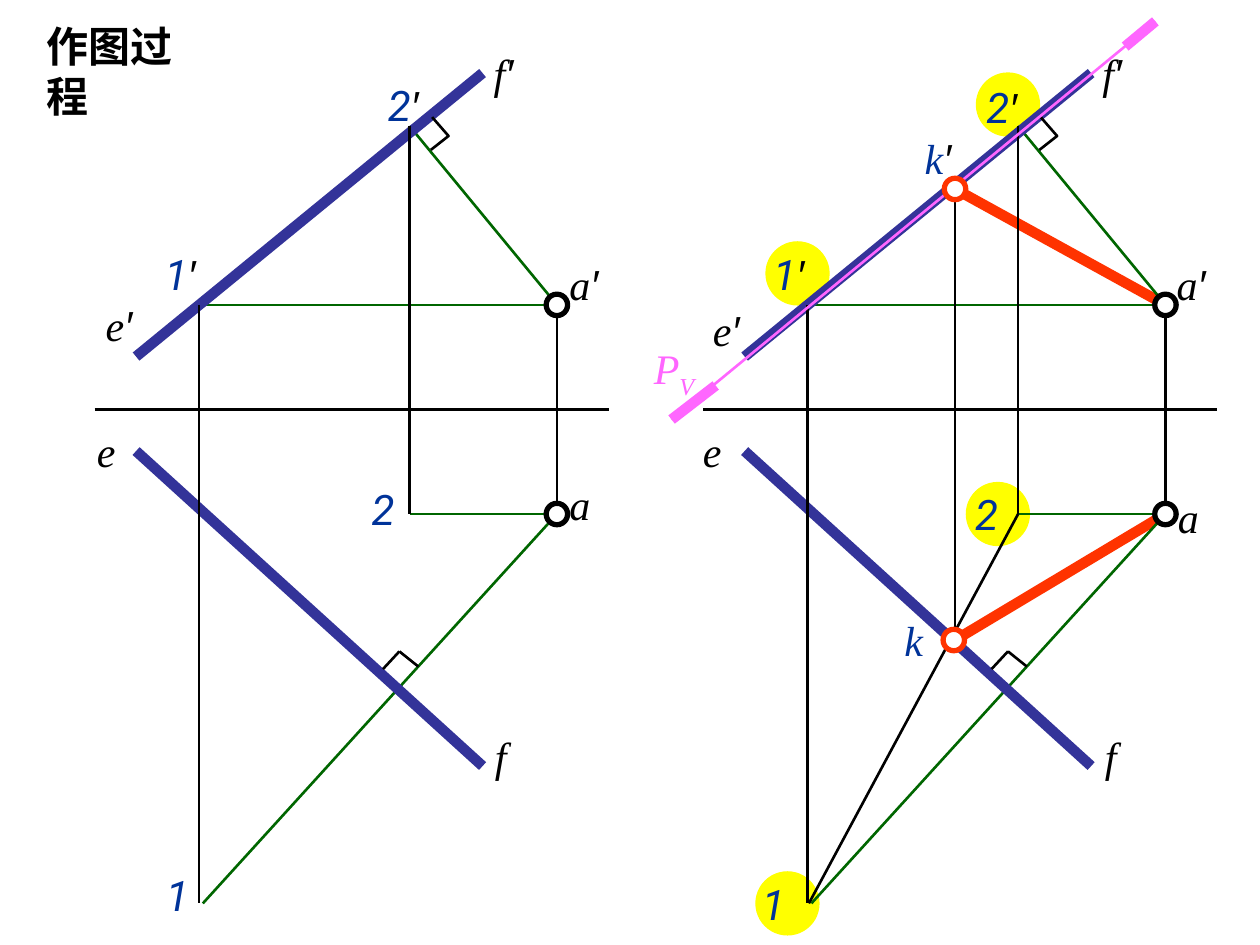
"""Build a slide of two orthographic projections showing a perpendicular construction."""
import pptx
import pptx.dml.color
import pptx.enum.shapes
import pptx.enum.text
import pptx.util
from lxml import etree

Inches, Pt = pptx.util.Inches, pptx.util.Pt
COLORS = {"black": "000000", "white": "FFFFFF", "yellow": "FFFF00", "red": "FF3300",
          "green": "006600", "indigo": "333399", "blue": "003399", "pink": "FF66FF"}
TITLE = "作图过程"
SHIFT = 4.83
HIGHLIGHTS = [(8, 0.83), (7.92, 4.08), (6.25, 7.17), (6.33, 2.17)]
RED_LINES = [((7.58, 5.08), (9.25, 4.08)), ((7.58, 1.5), (9.25, 2.42))]
FIGURE_LINES = [
    ((4.42, 2.42), (1.58, 2.42), "green", 1.5),
    ((4.42, 4.08), (3.25, 4.08), "green", 1.5),
    ((3.25, 1), (4.42, 2.42), "green", 1.5),
    ((1.61, 7.17), (4.42, 4.08), "green", 1.5),
    ((0.75, 3.25), (4.83, 3.25), "black", 1.5),
    ((4.42, 2.42), (4.42, 4.08), "black", 1.5),
    ((3.83, 0.58), (1.08, 2.83), "indigo", 6),
    ((1.08, 3.58), (3.83, 6.08), "indigo", 6),
    ((1.58, 2.42), (1.58, 7.17), "black", 1.5),
    ((3.25, 1), (3.25, 4.08), "black", 1.5),
]
FIGURE_RINGS = [(4.42, 4.08), (4.42, 2.42)]
CORNERS = [[(3.43, 0.93), (3.56, 1.08), (3.42, 1.19)],
           [(3.04, 5.31), (3.17, 5.17)], [(3.17, 5.17), (3.32, 5.29)]]
LABELS = [  # text, width, left figure, right figure
    ("2′", 0.49, (2.98, 0.58), (7.73, 0.6)),
    ("1", 0.38, (1.22, 6.85), (5.95, 6.92)),
    ("a′", 0.48, (4.42, 2), (9.24, 2)),
    ("e", 0.35, (0.67, 3.33), (5.48, 3.33)),
    ("f", 0.29, (3.83, 5.75), (8.67, 5.75)),
    ("a", 0.36, (4.42, 3.75), (9.25, 3.85)),
    ("f′", 0.4, (3.82, 0.33), (8.65, 0.33)),
    ("e′", 0.46, (0.74, 2.33), (5.56, 2.37)),
    ("1′", 0.49, (1.21, 1.92), (6.04, 1.92)),
    ("2", 0.38, (2.85, 3.79), (7.64, 3.83)),
]
TRACE = ((5.33, 3.33), (9.17, 0.17))
TRACE_ENDS = [[(5.33, 3.33), (5.68, 3.06)], [(9.17, 0.17), (8.93, 0.37)]]
K_LINES = [((7.58, 5.08), (7.58, 1.5)), ((6.42, 7.17), (8.08, 4.08))]
K_LABELS = [("k′", 0.46, (7.24, 1)), ("k", 0.35, (7.08, 4.83))]
K_RINGS = [(7.58, 1.5), (7.57, 5.08)]


def rgb(color):
    return pptx.dml.color.RGBColor.from_string(COLORS[color])


def stroke(s, color, width):
    s.line.color.rgb = rgb(color)
    s.line.width = Pt(width)


def add_line(shapes, start, end, color, width):
    s = shapes.add_connector(pptx.enum.shapes.MSO_CONNECTOR.STRAIGHT,
                             *[Inches(v) for v in (*start, *end)])
    stroke(s, color, width)
    etree.SubElement(s._element.spPr, pptx.oxml.ns.qn("a:effectLst"))


def add_circle(shapes, center, size, fill, color, width):
    x, y = center
    s = shapes.add_shape(pptx.enum.shapes.MSO_SHAPE.OVAL, Inches(x - size / 2),
                         Inches(y - size / 2), Inches(size), Inches(size))
    s.shadow.inherit = False
    s.fill.solid()
    s.fill.fore_color.rgb = rgb(fill)
    stroke(s, color, width)


def add_path(shapes, points, color, width):
    points = [(Inches(x), Inches(y)) for x, y in points]
    builder = shapes.build_freeform(*points[0])
    builder.add_line_segments(points[1:], close=False)
    s = builder.convert_to_shape()
    s.shadow.inherit = False
    s.fill.background()
    stroke(s, color, width)


def add_label(shapes, text, width, pos, color, height=0.5):
    s = shapes.add_textbox(*[Inches(v) for v in (*pos, width, height)])
    tf = s.text_frame
    tf.word_wrap = False
    tf.auto_size = pptx.enum.text.MSO_AUTO_SIZE.SHAPE_TO_FIT_TEXT
    runs = []
    for char in text:
        r = tf.paragraphs[0].add_run()
        r.text = char
        r.font.size = Pt(24)
        r.font.italic = True
        r.font.name = ("Arial" if char == "′" else
                       "Roboto" if char.isdigit() else "Times New Roman")
        r.font.color.rgb = rgb("black" if char == "′" else color)
        runs.append(r)
    return runs


def add_figure(shapes, dx, side):
    def move(point):
        return point[0] + dx, point[1]

    for start, end, color, width in FIGURE_LINES:
        add_line(shapes, move(start), move(end), color, width)
    for center in FIGURE_RINGS:
        add_circle(shapes, move(center), 0.17, "white", "black", 3)
    for text, width, *places in LABELS:
        color = "blue" if text[0].isdigit() else "black"
        add_label(shapes, text, width, places[side], color)
    for points in CORNERS:
        add_path(shapes, [move(p) for p in points], "black", 1.5)


def add_title(s):
    s.left, s.top, s.width, s.height = [Inches(v) for v in (0.27, 0.11, 1.53, 0.5)]
    tf = s.text_frame
    tf.text = TITLE
    tf.word_wrap = False
    tf.auto_size = pptx.enum.text.MSO_AUTO_SIZE.SHAPE_TO_FIT_TEXT
    tf.vertical_anchor = pptx.enum.text.MSO_ANCHOR.TOP
    p = tf.paragraphs[0]
    p.alignment = pptx.enum.text.PP_ALIGN.LEFT
    font = p.runs[0].font
    font.name, font.size, font.bold = "Arial", Pt(24), True
    font.color.rgb = rgb("black")


def main():
    prs = pptx.Presentation()
    prs.slide_width, prs.slide_height = Inches(10), Inches(7.5)
    shapes = prs.slides.add_slide(prs.slide_layouts[5]).shapes
    add_title(shapes.title)
    for center in HIGHLIGHTS:
        add_circle(shapes, center, 0.5, "yellow", "yellow", 0.75)
    for start, end in RED_LINES:
        add_line(shapes, start, end, "red", 6)
    add_figure(shapes, SHIFT, 1)
    add_figure(shapes, 0, 0)
    add_line(shapes, *TRACE, "pink", 1.5)
    for points in TRACE_ENDS:
        add_path(shapes, points, "pink", 6)
    runs = add_label(shapes, "PV", 0.52, (5.09, 2.67), "pink", 0.56)
    runs[1]._r.get_or_add_rPr().set("baseline", "-25000")
    for (start, end), label, ring in zip(K_LINES, K_LABELS, K_RINGS):
        add_line(shapes, start, end, "black", 1.5)
        add_label(shapes, *label, "blue")
        add_circle(shapes, ring, 0.17, "white", "red", 3)
    prs.save("out.pptx")


if __name__ == "__main__":
    main()
